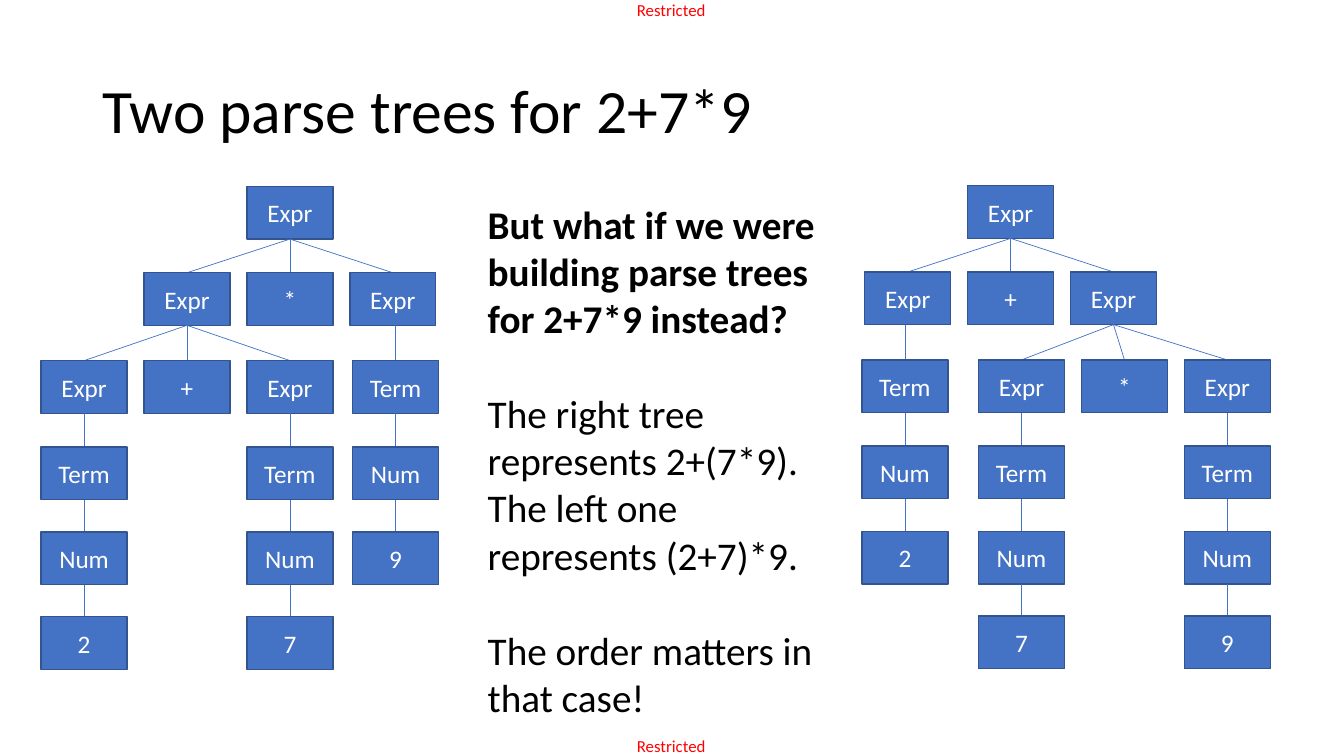
from lxml import etree
from pptx import Presentation
from pptx import util as u
from pptx.dml.color import RGBColor
from pptx.enum import shapes, text
from pptx.oxml.ns import qn


def rgb(value):
    return RGBColor.from_string(value)


class Canvas:
    font = "Calibri"
    fill, border = "4472C4", "325491"
    box_w, box_h = 61.4, 37.6

    def __init__(self, slide):
        self.s = slide

    def run(self, p, words, size, color, bold=False):
        r = p.add_run()
        r.text = words
        r.font.name, r.font.size, r.font.bold = self.font, u.Pt(size), bold
        r.font.color.rgb = rgb(color)

    def text_box(self, x, y, w, h, paragraphs, size, color="000000",
                 inset=(7.2, 3.6), anchor=text.MSO_ANCHOR.TOP, spacing=1.0):
        """Each paragraph is (words, bold, points before it)."""
        sp = self.s.shapes.add_textbox(u.Pt(x), u.Pt(y), u.Pt(w), u.Pt(h))
        tf = sp.text_frame
        tf.word_wrap = True
        tf.vertical_anchor = anchor
        tf.margin_left = tf.margin_right = u.Pt(inset[0])
        tf.margin_top = tf.margin_bottom = u.Pt(inset[1])
        for i, (words, bold, before) in enumerate(paragraphs):
            p = tf.add_paragraph() if i else tf.paragraphs[0]
            p.line_spacing = spacing
            p.space_before = u.Pt(before)
            self.run(p, words, size, color, bold)

    def box(self, x, y, label):
        sp = self.s.shapes.add_shape(shapes.MSO_SHAPE.RECTANGLE, u.Pt(x), u.Pt(y),
                                     u.Pt(self.box_w), u.Pt(self.box_h))
        sp.shadow.inherit = False
        sp.fill.solid()
        sp.fill.fore_color.rgb = rgb(self.fill)
        sp.line.color.rgb = rgb(self.border)
        sp.line.width = u.Pt(1)
        tf = sp.text_frame
        tf.vertical_anchor = text.MSO_ANCHOR.MIDDLE
        p = tf.paragraphs[0]
        p.alignment = text.PP_ALIGN.CENTER
        self.run(p, label, 18, "FFFFFF")

    def line(self, x1, y1, x2, y2):
        c = self.s.shapes.add_connector(shapes.MSO_CONNECTOR.STRAIGHT,
                                        u.Pt(x1), u.Pt(y1), u.Pt(x2), u.Pt(y2))
        c.line.color.rgb = rgb(self.fill)
        c.line.width = u.Pt(0.5)
        etree.SubElement(c._element.spPr, qn("a:effectLst"))

    def tree(self, node, rows):
        """Draw a node (label, x, children) and everything below it."""
        label, x, children = node
        self.box(x, rows[0], label)
        for child in children:
            child_x = child[1] + self.box_w / 2
            start_x = child_x if len(children) == 1 else x + self.box_w / 2
            self.line(start_x, rows[0] + self.box_h, child_x, rows[1])
            self.tree(child, rows[1:])


def number(digit, x):
    return ("Term", x, [("Num", x, [(digit, x, [])])])


def operation(x, left, operator, right):
    """An Expr above left operand, operator and right operand."""
    step = 73.5
    return ("Expr", x, [("Expr", x - step, left(x - step)),
                        (operator, x, []),
                        ("Expr", x + step, right(x + step))])


def operand(digit, shift=0):
    return lambda x: [number(digit, x + shift)]


def nested(operator, left, right, shift=0):
    return lambda x: operation(x + shift, operand(left), operator, operand(right))[2]


def main():
    prs = Presentation()
    prs.slide_width, prs.slide_height = u.Pt(960), u.Pt(540)
    canvas = Canvas(prs.slides.add_slide(prs.slide_layouts[6]))

    # Marking at top and bottom
    for y in (0, 525.6):
        canvas.text_box(455, y, 52.6, 14.4, [("Restricted", False, 0)], 12,
                        "FF0000", inset=(0, 0))

    # Title
    canvas.text_box(66, 28.75, 828, 104.4, [("Two parse trees for 2+7*9", False, 0)],
                    44, anchor=text.MSO_ANCHOR.MIDDLE, spacing=0.9)

    # Parse trees: (2+7)*9 on the left, 2+(7*9) on the right
    rows = [133.2, 194.8, 257.6, 319.2, 380, 440.6]
    canvas.tree(operation(176.4, nested("+", "2", "7"), "*", operand("9", 2)), rows)
    canvas.tree(operation(691.2, operand("2", -2), "+", nested("*", "7", "9", 7.8)),
                [y - 0.5 for y in rows])

    # Explanation
    gap = 34.2
    canvas.text_box(341.3, 139.7, 258.5, 380.2, [
        ("But what if we were building parse trees for 2+7*9 instead?", True, 0),
        ("The right tree represents 2+(7*9).", False, gap),
        ("The left one represents (2+7)*9.", False, 0),
        ("The order matters in that case!", False, gap),
    ], 28)

    prs.save("out.pptx")


if __name__ == "__main__":
    main()
